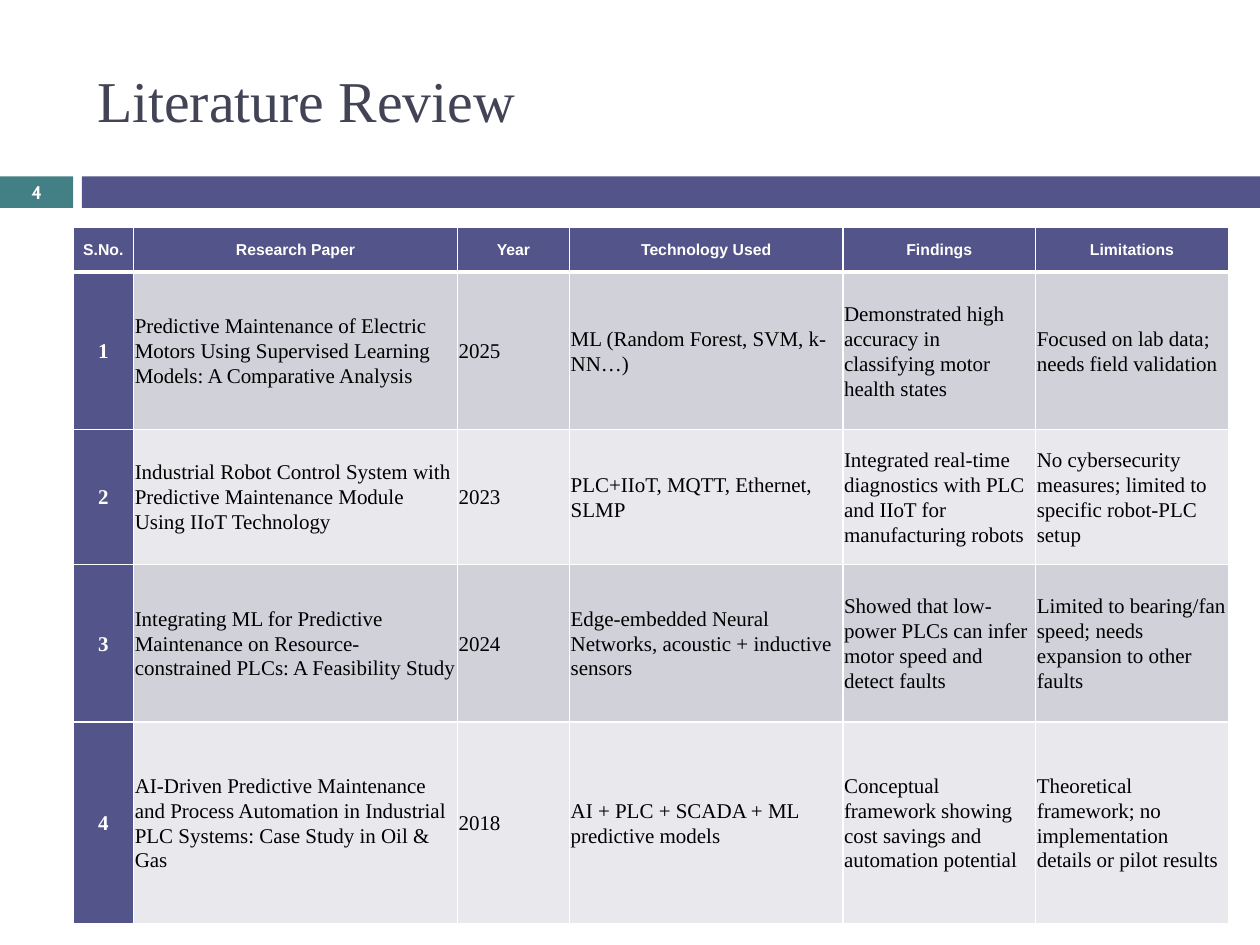
import pptx
import pptx.dml.color
import pptx.enum.shapes
import pptx.enum.text
import pptx.oxml
import pptx.oxml.ns
import pptx.util
from pptx.util import Inches

RGBColor = pptx.dml.color.RGBColor
PP_ALIGN = pptx.enum.text.PP_ALIGN
MIDDLE = pptx.enum.text.MSO_ANCHOR.MIDDLE

INDIGO = RGBColor(0x53, 0x54, 0x8A)
TEAL = RGBColor(0x43, 0x80, 0x86)
SLATE = RGBColor(0x42, 0x44, 0x56)
BAND_DARK = RGBColor(0xD1, 0xD1, 0xDA)
BAND_LIGHT = RGBColor(0xE9, 0xE9, 0xED)
WHITE = RGBColor(0xFF, 0xFF, 0xFF)
BLACK = RGBColor(0, 0, 0)

SERIF = "Times New Roman"
HEADINGS = ["S.No.", "Research Paper", "Year", "Technology Used", "Findings", "Limitations"]
PAPERS = [
    ("Predictive Maintenance of Electric Motors Using Supervised Learning Models: A Comparative Analysis",
     "2025", "ML (Random Forest, SVM, k-NN…)",
     "Demonstrated high accuracy in classifying motor health states",
     "Focused on lab data; needs field validation"),
    ("Industrial Robot Control System with Predictive Maintenance Module Using IIoT Technology",
     "2023", "PLC+IIoT, MQTT, Ethernet, SLMP",
     "Integrated real-time diagnostics with PLC and IIoT for manufacturing robots",
     "No cybersecurity measures; limited to specific robot-PLC setup"),
    ("Integrating ML for Predictive Maintenance on Resource-constrained PLCs: A Feasibility Study",
     "2024", "Edge-embedded Neural Networks, acoustic + inductive sensors",
     "Showed that low-power PLCs can infer motor speed and detect faults",
     "Limited to bearing/fan speed; needs expansion to other faults"),
    ("AI‑Driven Predictive Maintenance and Process Automation in Industrial PLC Systems: Case Study in Oil & Gas",
     "2018", "AI + PLC + SCADA + ML predictive models",
     "Conceptual framework showing cost savings and automation potential",
     "Theoretical framework; no implementation details or pilot results"),
]
COLUMN_WIDTHS = [0.48, 2.57, 0.89, 2.17, 1.53, 1.53]
ROW_HEIGHTS = [0.36, 1.25, 1.07, 1.25, 1.6]


class ReviewSlide:
    def __init__(self, deck):
        self.slide = deck.slides.add_slide(deck.slide_layouts[5])

    def set_text(self, frame, text, size, font, color, bold=False, align=PP_ALIGN.LEFT):
        frame.text = text
        frame.word_wrap = True
        paragraph = frame.paragraphs[0]
        paragraph.alignment = align
        paragraph.font.size = pptx.util.Pt(size)
        paragraph.font.name = font
        paragraph.font.bold = bold
        paragraph.font.color.rgb = color
        return paragraph

    def title(self, text, left, top, width, height):
        heading = self.slide.shapes.title
        heading.left, heading.top = Inches(left), Inches(top)
        heading.width, heading.height = Inches(width), Inches(height)
        self.set_text(heading.text_frame, text, 33, SERIF, SLATE)
        heading.text_frame.vertical_anchor = MIDDLE

    def bar(self, left, top, width, height, color):
        bar = self.slide.shapes.add_shape(
            pptx.enum.shapes.MSO_SHAPE.RECTANGLE,
            Inches(left), Inches(top), Inches(width), Inches(height))
        bar.shadow.inherit = False
        bar.fill.solid()
        bar.fill.fore_color.rgb = color
        bar.line.fill.background()

    def page_number(self, text, left, top, width, height):
        number = self.slide.shapes.add_textbox(
            Inches(left), Inches(top), Inches(width), Inches(height))
        self.set_text(number.text_frame, text, 10.5, "Cabin", WHITE, True, PP_ALIGN.CENTER)
        number.text_frame.vertical_anchor = MIDDLE

    def border(self, cell, top, bottom):
        properties = cell._tc.get_or_add_tcPr()
        for side, points in (("L", 1), ("R", 1), ("T", top), ("B", bottom)):
            properties.append(pptx.oxml.parse_xml(
                f'<a:ln{side} {pptx.oxml.ns.nsdecls("a")} w="{pptx.util.Pt(points)}">'
                f'<a:solidFill><a:srgbClr val="{WHITE}"/></a:solidFill></a:ln{side}>'))

    def cell(self, cell, text, size, font, color, bold, align, fill, top=1, bottom=1):
        paragraph = self.set_text(cell.text_frame, text, size, font, color, bold, align)
        paragraph.line_spacing = 1.07
        cell.vertical_anchor = MIDDLE
        cell.margin_left = cell.margin_right = Inches(0.01)
        cell.margin_top = cell.margin_bottom = Inches(0.01)
        self.border(cell, top, bottom)
        cell.fill.solid()
        cell.fill.fore_color.rgb = fill

    def review_table(self, left, top):
        table = self.slide.shapes.add_table(
            len(ROW_HEIGHTS), len(COLUMN_WIDTHS), Inches(left), Inches(top),
            Inches(sum(COLUMN_WIDTHS)), Inches(sum(ROW_HEIGHTS))).table
        table.first_col = True
        for column, width in zip(table.columns, COLUMN_WIDTHS):
            column.width = Inches(width)
        for row, height in zip(table.rows, ROW_HEIGHTS):
            row.height = Inches(height)
        for column, heading in enumerate(HEADINGS):
            self.cell(table.cell(0, column), heading, 9, "Arial", WHITE, True,
                      PP_ALIGN.CENTER, INDIGO, bottom=3)
        for serial, paper in enumerate(PAPERS, 1):
            rule = 3 if serial == 1 else 1
            self.cell(table.cell(serial, 0), str(serial), 12, SERIF, WHITE, True,
                      PP_ALIGN.CENTER, INDIGO, top=rule)
            band = BAND_DARK if serial % 2 else BAND_LIGHT
            for column, detail in enumerate(paper, 1):
                self.cell(table.cell(serial, column), detail, 12, SERIF, BLACK, False,
                          PP_ALIGN.LEFT, band, top=rule)


def main():
    deck = pptx.Presentation()
    deck.slide_width, deck.slide_height = Inches(10), Inches(7.5)
    review = ReviewSlide(deck)
    review.bar(0, 1.4, 0.58, 0.25, TEAL)
    review.bar(0.65, 1.4, 9.35, 0.25, INDIGO)
    review.title("Literature Review", 0.67, 0.25, 8.92, 1.08)
    review.review_table(0.58, 1.8)
    review.page_number("4", 0, 1.39, 0.58, 0.27)
    deck.save("out.pptx")


if __name__ == "__main__":
    main()
